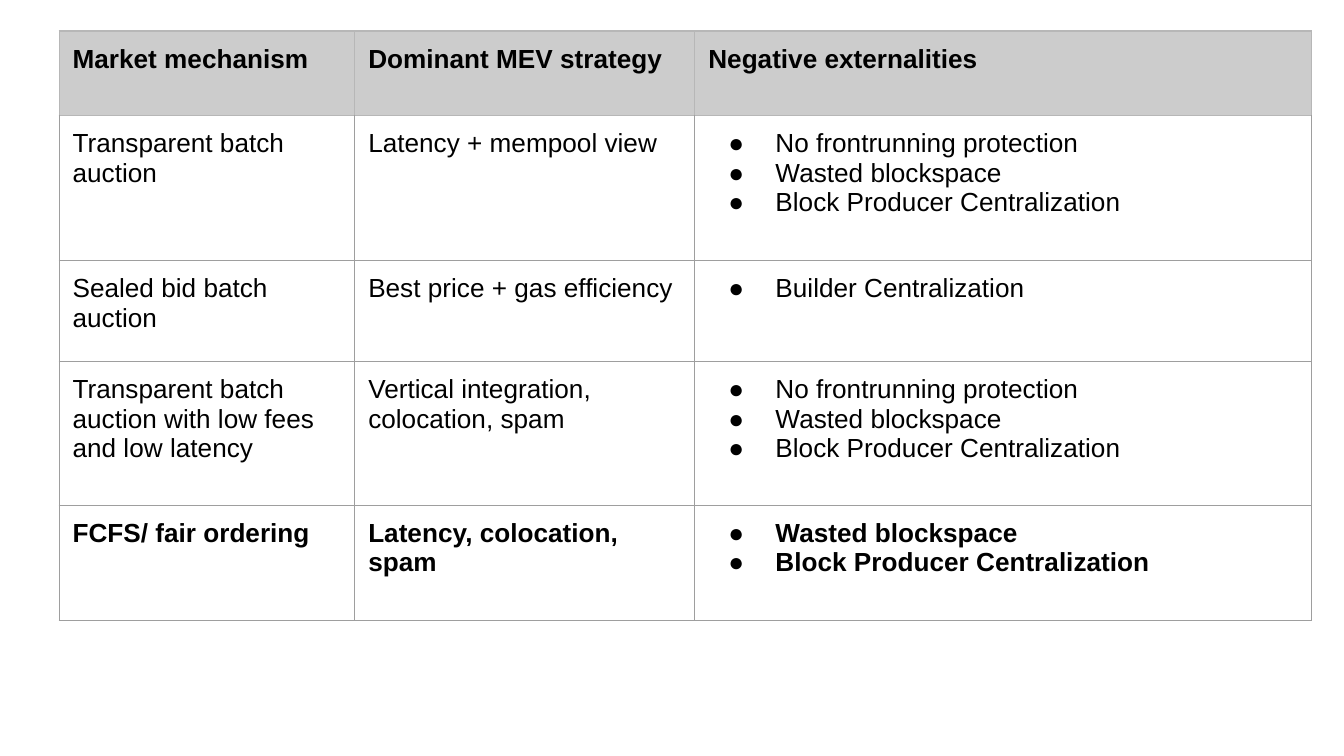
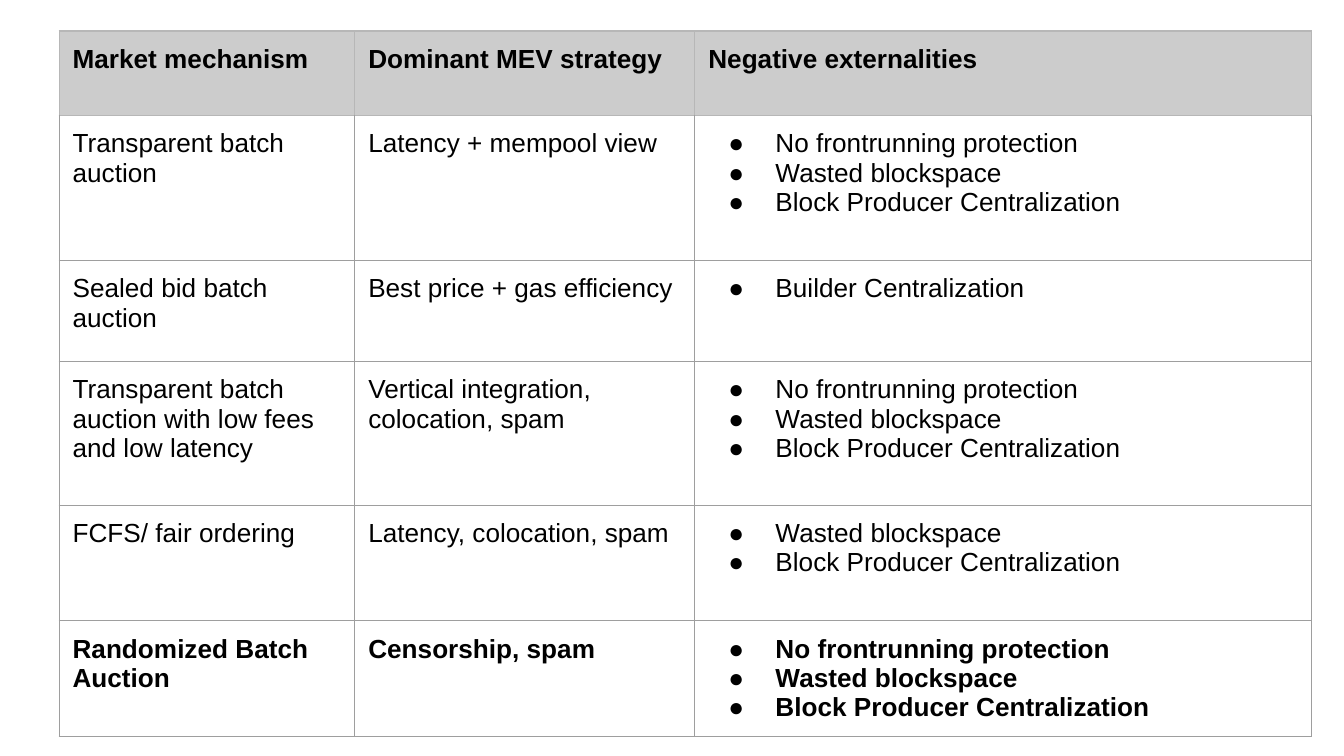
import pptx
import pptx.dml.color
import pptx.oxml
import pptx.oxml.ns
import pptx.util

Inches = pptx.util.Inches
Pt = pptx.util.Pt
RGBColor = pptx.dml.color.RGBColor

# Content: mechanism, strategy, list of externalities
HEADER = ("Market mechanism", "Dominant MEV strategy", "Negative externalities")
FRONTRUNNING = "No frontrunning protection"
WASTE = "Wasted blockspace"
CENTRALIZATION = "Block Producer Centralization"
MECHANISMS = [
    ("Transparent batch auction", "Latency + mempool view",
     [FRONTRUNNING, WASTE, CENTRALIZATION]),
    ("Sealed bid batch auction", "Best price + gas efficiency",
     ["Builder Centralization"]),
    ("Transparent batch auction with low fees and low latency",
     "Vertical integration, colocation, spam",
     [FRONTRUNNING, WASTE, CENTRALIZATION]),
    ("FCFS/ fair ordering", "Latency, colocation, spam",
     [WASTE, CENTRALIZATION]),
    ("Randomized Batch Auction", "Censorship, spam",
     [FRONTRUNNING, WASTE, CENTRALIZATION]),
]
MECHANISMS_SHOWN = (4, 5)  # one slide each; the newest row is bold

# Layout and style
SLIDE_WIDTH = Inches(10)
SLIDE_HEIGHT = SLIDE_WIDTH * 9 // 16
LEFT, TOP = 0.44, 0.23
COLUMN_WIDTHS = (2.2, 2.53, 4.59)
ROW_HEIGHTS = (0.63, 1.08, 0.75, 1.07, 0.86, 0.86)
BLACK = RGBColor(0x00, 0x00, 0x00)
HEADER_FILL = RGBColor(0xCC, 0xCC, 0xCC)
HEADER_BORDER = RGBColor(0xB7, 0xB7, 0xB7)
BODY_BORDER = RGBColor(0x9E, 0x9E, 0x9E)
CELL_FORMAT = {side: Inches(0.1) for side in
               ("margin_left", "margin_right", "margin_top", "margin_bottom")}
FONT_FORMAT = {"name": "Arial", "size": Pt(14)}
NAMESPACE = pptx.oxml.ns.nsdecls("a")


def set_format(target, values):
    for name, value in values.items():
        setattr(target, name, value)


def set_borders(cell, colors):
    properties = cell._tc.get_or_add_tcPr()
    for side in "LRTB":
        properties.append(pptx.oxml.parse_xml(
            f'<a:ln{side} {NAMESPACE} w="{Pt(0.75)}"><a:solidFill>'
            f'<a:srgbClr val="{colors[side]}"/></a:solidFill></a:ln{side}>'))


def add_bullet(paragraph):
    properties = paragraph._p.get_or_add_pPr()
    properties.set("marL", str(Inches(0.5)))
    properties.set("indent", str(Inches(-0.35)))
    for element in (f'<a:buClr {NAMESPACE}><a:srgbClr val="{BLACK}"/></a:buClr>',
                    f'<a:buFont {NAMESPACE} typeface="Arial"/>',
                    f'<a:buChar {NAMESPACE} char="●"/>'):
        properties.append(pptx.oxml.parse_xml(element))


def write_cell(cell, content, bold):
    set_format(cell, CELL_FORMAT)
    bulleted = isinstance(content, list)
    cell.text = "\n".join(content) if bulleted else content
    for paragraph in cell.text_frame.paragraphs:
        if bulleted:
            add_bullet(paragraph)
        font = paragraph.runs[0].font
        set_format(font, {**FONT_FORMAT, "bold": bold})
        font.color.rgb = BLACK


def add_mechanism_table(slide, rows):
    heights = ROW_HEIGHTS[:len(rows)]
    table = slide.shapes.add_table(
        len(rows), len(COLUMN_WIDTHS), Inches(LEFT), Inches(TOP),
        Inches(sum(COLUMN_WIDTHS)), Inches(sum(heights))).table
    set_format(table, {"first_row": False, "horz_banding": False})
    for column, width in zip(table.columns, COLUMN_WIDTHS):
        column.width = Inches(width)
    for index, (row, height, contents) in enumerate(zip(table.rows, heights, rows)):
        row.height = Inches(height)
        is_header = index == 0
        borders = dict.fromkeys("LRTB", HEADER_BORDER if is_header else BODY_BORDER)
        if index == 1:
            borders["T"] = HEADER_BORDER
        for cell, content in zip(row.cells, contents):
            write_cell(cell, content, bold=index in (0, len(rows) - 1))
            set_borders(cell, borders)
            if is_header:
                cell.fill.solid()
                cell.fill.fore_color.rgb = HEADER_FILL
            else:
                cell.fill.background()


def main():
    presentation = pptx.Presentation()
    set_format(presentation, {"slide_width": SLIDE_WIDTH, "slide_height": SLIDE_HEIGHT})
    for count in MECHANISMS_SHOWN:
        slide = presentation.slides.add_slide(presentation.slide_layouts[6])
        add_mechanism_table(slide, [HEADER, *MECHANISMS[:count]])
    presentation.save("out.pptx")


if __name__ == "__main__":
    main()
